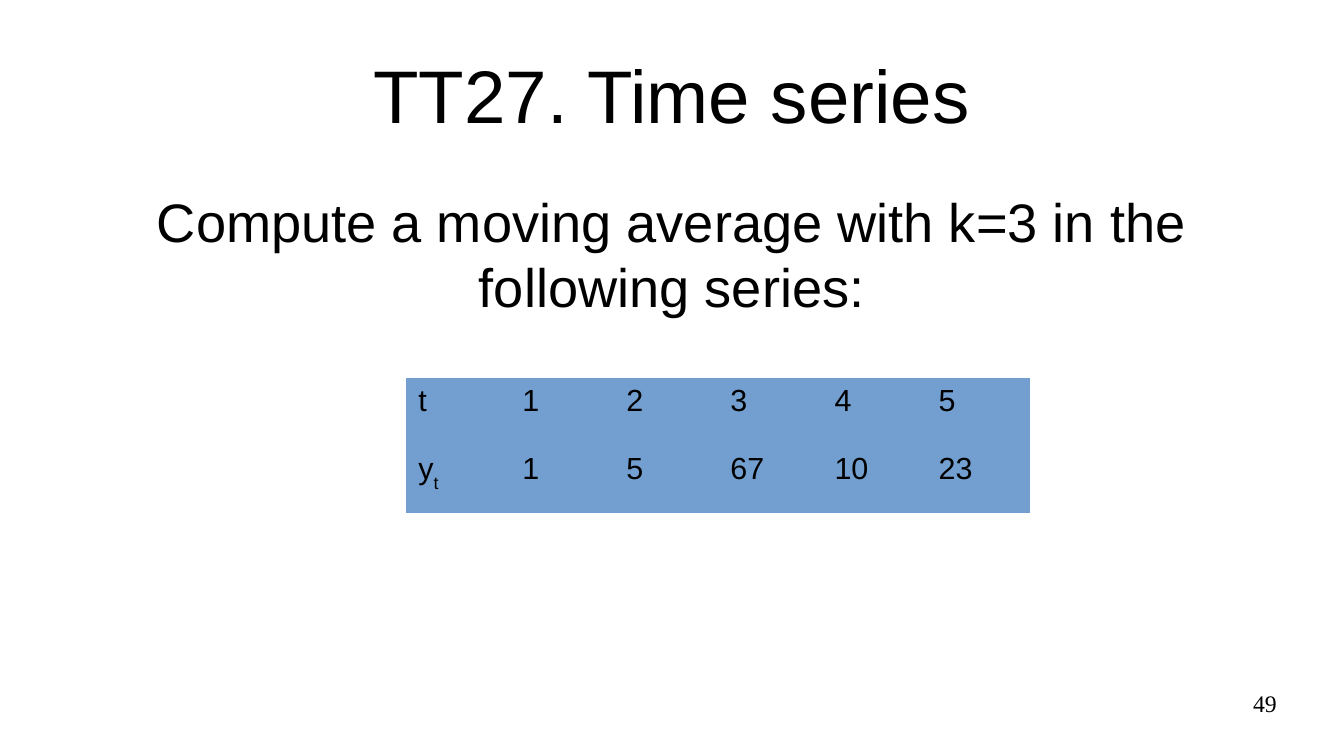
"""Build the time series exercise slide with its table of observations."""
from dataclasses import dataclass

from pptx import Presentation
from pptx.dml.color import RGBColor
from pptx.enum.text import MSO_ANCHOR, MSO_AUTO_SIZE, PP_ALIGN
from pptx.slide import Slide
from pptx.text.text import TextFrame
from pptx.util import Inches, Pt


@dataclass(frozen=True)
class Theme:
    ink: RGBColor = RGBColor(0x00, 0x00, 0x00)
    cell: RGBColor = RGBColor(0x72, 0x9F, 0xCF)
    background: RGBColor = RGBColor(0xFF, 0xFF, 0xFF)
    body_font: str = "Arial"
    number_font: str = "Times New Roman"
    title_size: int = 44
    subtitle_size: int = 32
    table_size: int = 18
    number_size: int = 14
    plain_table_style: str = "{2D5ABB26-0587-4C30-8999-92F81FD0307C}"


@dataclass(frozen=True)
class Box:
    left: float
    top: float
    width: float
    height: float

    def lengths(self) -> tuple[int, int, int, int]:
        return (Inches(self.left), Inches(self.top),
                Inches(self.width), Inches(self.height))


@dataclass(frozen=True)
class Series:
    name: str
    values: tuple[int, ...]
    subscript: str = ""


THEME = Theme()
TITLE_BOX = Box(0.55, 0.25, 9.92, 1.04)
SUBTITLE_BOX = Box(0.55, 1.45, 9.92, 1.25)
TABLE_BOX = Box(3.33, 3.1, 5.12, 1.11)
NUMBER_BOX = Box(7.9, 5.65, 2.57, 0.43)
SERIES = (
    Series("t", (1, 2, 3, 4, 5)),
    Series("y", (1, 5, 67, 10, 23), subscript="t"),
)


def write_text(frame: TextFrame, text: str, *, size: int,
               font: str = THEME.body_font, subscript: str = "",
               align: PP_ALIGN = PP_ALIGN.LEFT) -> None:
    paragraph = frame.paragraphs[0]
    paragraph.alignment = align
    paragraph.space_before = Pt(0)
    for content, baseline in ((text, 0), (subscript, -33000)):
        if not content:
            continue
        run = paragraph.add_run()
        run.text = content
        run.font.name = font
        run.font.size = Pt(size)
        run.font.bold = False
        run.font.color.rgb = THEME.ink
        if baseline:
            run._r.get_or_add_rPr().set("baseline", str(baseline))


def format_frame(frame: TextFrame, anchor: MSO_ANCHOR) -> None:
    frame.word_wrap = True
    frame.auto_size = MSO_AUTO_SIZE.NONE
    frame.vertical_anchor = anchor
    frame.margin_left = frame.margin_right = Inches(0)
    frame.margin_top = frame.margin_bottom = Inches(0)


def fill_placeholder(slide: Slide, index: int, box: Box, text: str, size: int) -> None:
    shape = slide.placeholders[index]
    shape.left, shape.top, shape.width, shape.height = box.lengths()
    format_frame(shape.text_frame, MSO_ANCHOR.MIDDLE)
    write_text(shape.text_frame, text, size=size, align=PP_ALIGN.CENTER)


def add_series_table(slide: Slide, box: Box, rows: tuple[Series, ...]) -> None:
    column_count = len(rows[0].values) + 1
    shape = slide.shapes.add_table(len(rows), column_count, *box.lengths())
    shape.element.xpath(".//a:tableStyleId")[0].text = THEME.plain_table_style
    table = shape.table
    table.first_row = table.horz_banding = False
    for row_index, series in enumerate(rows):
        for column_index, content in enumerate((series.name, *series.values)):
            cell = table.cell(row_index, column_index)
            cell.fill.solid()
            cell.fill.fore_color.rgb = THEME.cell
            write_text(cell.text_frame, str(content), size=THEME.table_size,
                       subscript=series.subscript if column_index == 0 else "")


def add_slide_number(slide: Slide, box: Box, number: str) -> None:
    shape = slide.shapes.add_textbox(*box.lengths())
    format_frame(shape.text_frame, MSO_ANCHOR.TOP)
    write_text(shape.text_frame, number, size=THEME.number_size,
               font=THEME.number_font, align=PP_ALIGN.RIGHT)


def main() -> None:
    presentation = Presentation()
    presentation.slide_width = Inches(11.02)
    presentation.slide_height = Inches(6.2)
    slide = presentation.slides.add_slide(presentation.slide_layouts[0])
    slide.background.fill.solid()
    slide.background.fill.fore_color.rgb = THEME.background
    fill_placeholder(slide, 0, TITLE_BOX, "TT27. Time series", THEME.title_size)
    fill_placeholder(slide, 1, SUBTITLE_BOX,
                     "Compute a moving average with k=3 in the following series:",
                     THEME.subtitle_size)
    add_series_table(slide, TABLE_BOX, SERIES)
    add_slide_number(slide, NUMBER_BOX, "49")
    presentation.save("out.pptx")


if __name__ == "__main__":
    main()
